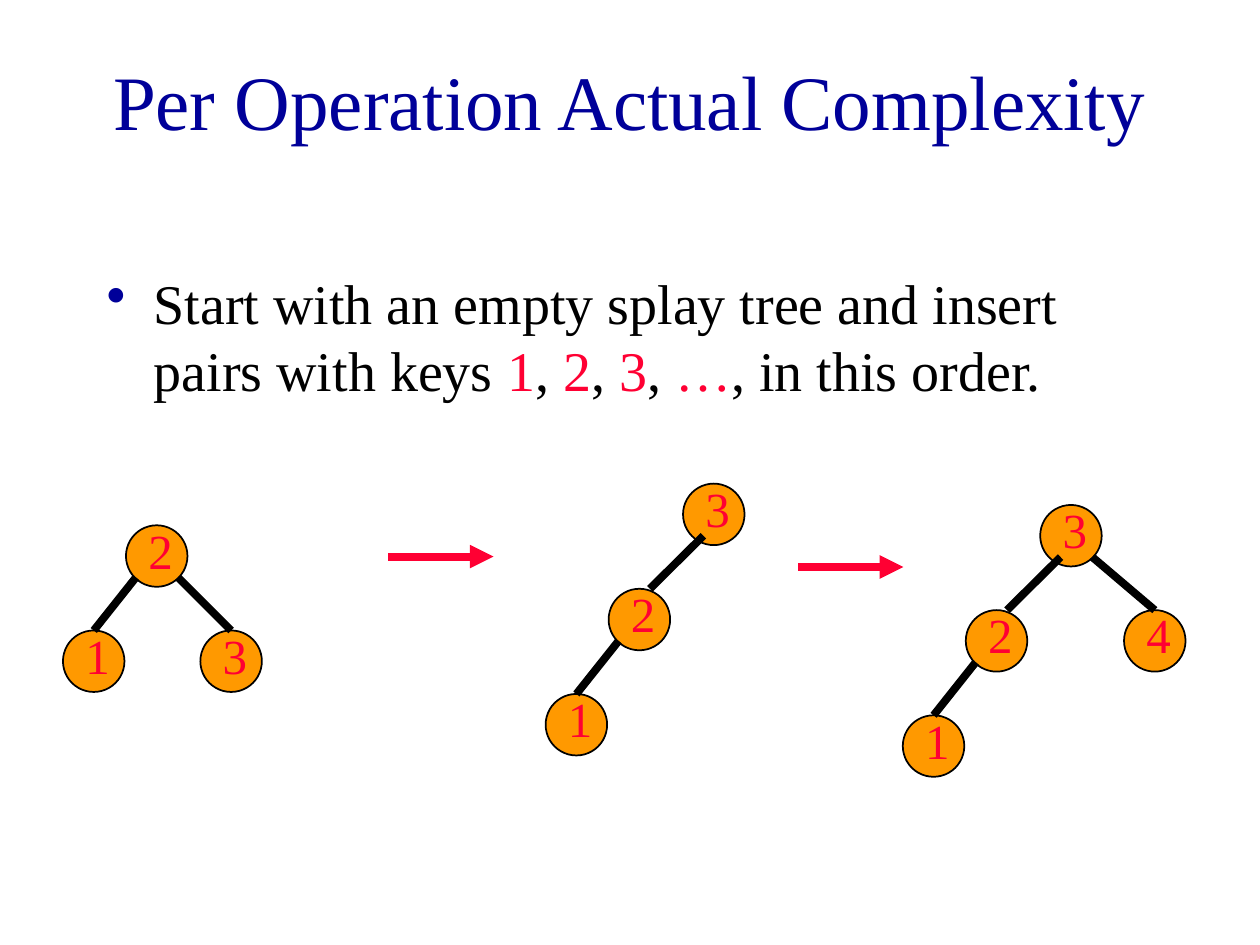
from dataclasses import dataclass

from lxml import etree
from pptx import Presentation
from pptx import util as u
from pptx.dml.color import RGBColor
from pptx.enum import shapes, text
from pptx.oxml.ns import qn


@dataclass(frozen=True)
class Theme:
    font: str = "Times New Roman"
    title: str = "000099"
    ink: str = "000000"
    accent: str = "FF0033"
    node: str = "FF9900"
    title_size: float = 44
    body_size: float = 32
    key_size: float = 28
    outline: float = 1
    stroke: float = 4.5


NODE = 1.24  # diameter of a tree node, cm
ROW = 2.12   # distance between tree levels, cm


class SlideBuilder:
    def __init__(self, slide, theme):
        self.slide, self.theme = slide, theme

    def textbox(self, parent, box, runs, size, frame_format=None, para_format=None):
        """Add one paragraph of (words, colour) runs and return it."""
        frame = parent.add_textbox(*map(u.Cm, box)).text_frame
        for name, value in {"word_wrap": True, **(frame_format or {})}.items():
            setattr(frame, name, value)
        paragraph = frame.paragraphs[0]
        for name, value in (para_format or {}).items():
            setattr(paragraph, name, value)
        for words, colour in runs:
            run = paragraph.add_run()
            run.text = words
            for name, value in {"name": self.theme.font, "size": u.Pt(size)}.items():
                setattr(run.font, name, value)
            run.font.color.rgb = RGBColor.from_string(colour)
        return paragraph

    def title(self, words):
        self.textbox(self.slide.shapes, (1.9, 0.43, 21.6, 3.18),
                     [(words, self.theme.title)], self.theme.title_size,
                     {"vertical_anchor": text.MSO_ANCHOR.MIDDLE},
                     {"alignment": text.PP_ALIGN.CENTER})

    def bullet(self, runs):
        paragraph = self.textbox(self.slide.shapes, (1.9, 5.28, 21.6, 4.24), runs,
                                 self.theme.body_size,
                                 para_format={"space_before": u.Pt(8)})
        properties = paragraph._p.get_or_add_pPr()
        indent = u.Cm(0.95)
        for name, value in {"marL": indent, "indent": -indent}.items():
            properties.set(name, str(int(value)))
        colour = etree.SubElement(properties, qn("a:buClr"))
        etree.SubElement(colour, qn("a:srgbClr"), val=self.theme.title)
        etree.SubElement(properties, qn("a:buChar"), char="•")

    def line(self, parent, start, end, colour, arrow=False):
        connector = parent.add_connector(shapes.MSO_CONNECTOR.STRAIGHT,
                                         *map(u.Cm, (*start, *end)))
        connector.line.color.rgb = RGBColor.from_string(colour)
        connector.line.width = u.Pt(self.theme.stroke)
        if arrow:
            etree.SubElement(connector.line._ln, qn("a:tailEnd"), type="triangle")
        etree.SubElement(connector._element.spPr, qn("a:effectLst"))

    def step_arrow(self, left, top):
        self.line(self.slide.shapes, (left, top), (left + 2.12, top),
                  self.theme.accent, arrow=True)

    def node(self, parent, left, top):
        circle = parent.add_shape(shapes.MSO_SHAPE.OVAL,
                                  *map(u.Cm, (left, top, NODE, NODE)))
        circle.shadow.inherit = False
        circle.fill.solid()
        circle.fill.fore_color.rgb = RGBColor.from_string(self.theme.node)
        circle.line.color.rgb = RGBColor.from_string(self.theme.ink)
        circle.line.width = u.Pt(self.theme.outline)

    def key(self, parent, left, top, label):
        self.textbox(parent, (left + 0.2, top - 0.23, 1.9, 1.45),
                     [(label, self.theme.accent)], self.theme.key_size,
                     {"auto_size": text.MSO_AUTO_SIZE.SHAPE_TO_FIT_TEXT},
                     {"space_before": u.Pt(17.5)})

    def tree(self, root, left, top, branches):
        """Draw a tree from (parent, child, x offset, edge shift) branches."""
        group = self.slide.shapes.add_group_shape().shapes
        places = {root: (left, top)}
        edges = []
        for above, below, offset, shift in branches:
            x, y = places[above]
            places[below] = child_x, child_y = x + offset, y + ROW
            exit_x = 0.2 if offset < 0 else 1.05
            edges.append(((x + exit_x + shift, y + 1.05),
                          (child_x + NODE / 2 + shift, child_y)))
        for place in places.values():
            self.node(group, *place)
        for start, end in edges:
            self.line(group, start, end, self.theme.ink)
        for label, place in places.items():
            self.key(group, *place, label)


def main():
    deck = Presentation()
    deck.slide_width, deck.slide_height = u.Cm(25.4), u.Cm(19.05)
    theme = Theme()
    builder = SlideBuilder(deck.slides.add_slide(deck.slide_layouts[6]), theme)

    builder.title("Per Operation Actual Complexity")
    runs = [("Start with an empty splay tree and insert pairs with keys ", theme.ink)]
    for inserted, after in zip("123…", (", ", ", ", ", ", ", in this order.")):
        runs += [(inserted, theme.accent), (after, theme.ink)]
    builder.bullet(runs)

    left_chain = [("3", "2", -1.5, 0.21), ("2", "1", -1.27, 0)]
    builder.step_arrow(7.83, 11.22)
    builder.tree("2", 2.54, 10.59, [("2", "1", -1.27, 0), ("2", "3", 1.5, 0)])
    builder.tree("3", 13.77, 9.75, left_chain)
    builder.step_arrow(16.09, 11.43)
    builder.tree("3", 20.97, 10.18, left_chain + [("3", "4", 1.69, 0)])

    deck.save("out.pptx")


if __name__ == "__main__":
    main()
